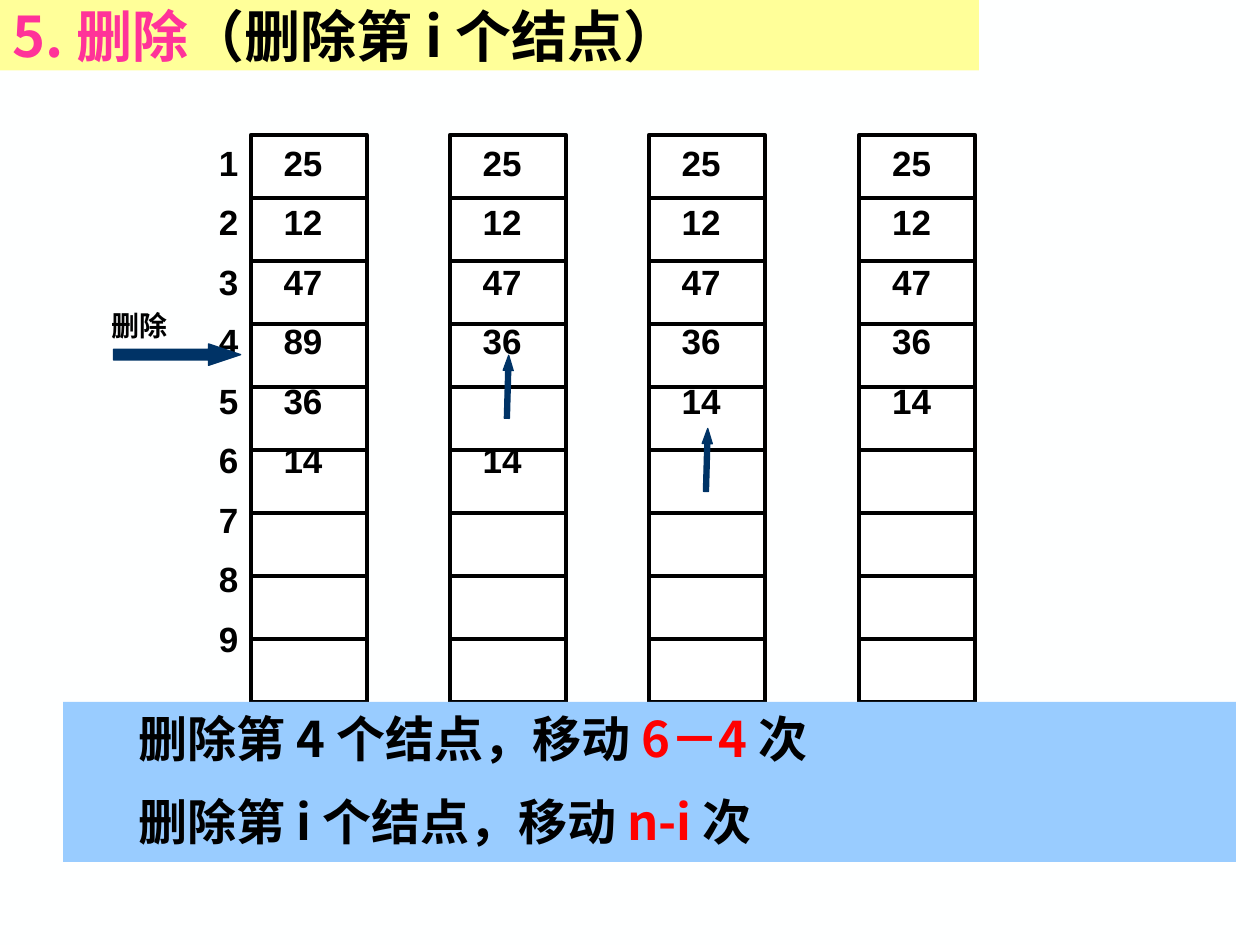
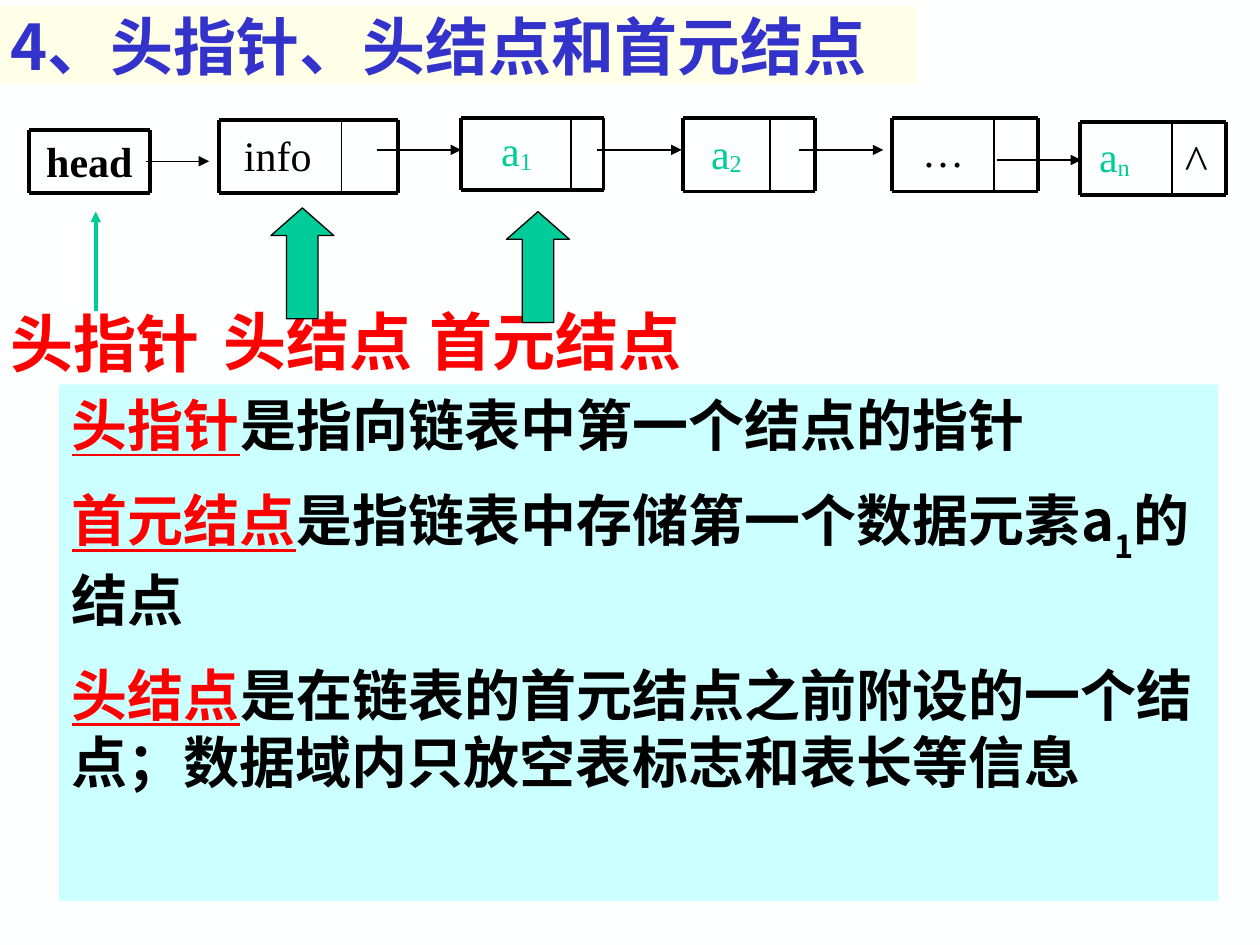
from dataclasses import dataclass

from lxml.etree import SubElement
from pptx import Presentation
from pptx.dml.color import RGBColor
from pptx.enum.shapes import MSO_CONNECTOR, MSO_SHAPE
from pptx.enum.text import MSO_ANCHOR, MSO_AUTO_SIZE, PP_ALIGN
from pptx.oxml.ns import qn
from pptx.util import Inches, Pt


@dataclass(frozen=True)
class Theme:
    # Colours
    page: str = "FEFFFF"
    white: str = "FFFFFF"
    ink: str = "000000"
    red: str = "FF0000"
    pink: str = "FF3399"
    blue: str = "3333CC"
    navy: str = "003366"
    green: str = "00CC99"
    yellow_band: str = "FFFF99"
    cream_band: str = "FFFFE7"
    blue_panel: str = "99CCFF"
    cyan_panel: str = "CCFFFF"
    # Fonts
    cjk: str = "Noto Sans CJK SC"
    sans: str = "Arial"
    serif: str = "Times New Roman"
    # Type sizes in points
    caption: int = 16
    value: int = 20
    node: int = 24
    nil: int = 28
    rule: int = 28
    definition: int = 32
    label: int = 36
    # Line widths in points
    hairline: float = 0.75
    divider: float = 1
    pointer: float = 2
    border: float = 2.25


THEME = Theme()


# ---- Text ----

def add_span(para, text, size, colour, font=THEME.cjk, bold=True,
             underline=None, baseline=None):
    span = para.add_run()
    span.text = text
    span.font.name = font
    span.font.size = Pt(size)
    span.font.bold = bold
    span.font.underline = underline
    span.font.color.rgb = RGBColor.from_string(colour)
    properties = span.font._element
    latin = properties.find(qn("a:latin"))
    east_asian = SubElement(properties, qn("a:ea"), typeface=THEME.cjk)
    latin.addnext(east_asian)
    if baseline is not None:
        properties.set("baseline", str(baseline * 1000))


def add_text_box(page, left, top, width, height):
    box = page.shapes.add_textbox(Inches(left), Inches(top), Inches(width), Inches(height))
    frame = box.text_frame
    frame.word_wrap = True
    frame.margin_left = frame.margin_right = Inches(0.05)
    frame.paragraphs[0].alignment = PP_ALIGN.CENTER
    return box


def add_label(page, left, top, width, text, size, colour):
    box = add_text_box(page, left, top, width, size / 50)
    add_span(box.text_frame.paragraphs[0], text, size, colour)


def place(holder, left, top, width, height, fill):
    holder.left, holder.top = Inches(left), Inches(top)
    holder.width, holder.height = Inches(width), Inches(height)
    holder.fill.solid()
    holder.fill.fore_color.rgb = RGBColor.from_string(fill)
    holder.text_frame.auto_size = MSO_AUTO_SIZE.NONE
    holder.text_frame.word_wrap = True


def fill_title(page, area, fill, size, spans):
    title = page.shapes.title
    place(title, *area, fill)
    title.text_frame.vertical_anchor = MSO_ANCHOR.MIDDLE
    para = title.text_frame.paragraphs[0]
    para.alignment = PP_ALIGN.LEFT
    for text, colour in spans:
        add_span(para, text, size, colour)


def fill_panel(page, area, fill, size, rows, indent=0):
    """Each row is a list of (text, add_span options)."""
    panel = page.placeholders[1]
    place(panel, *area, fill)
    frame = panel.text_frame
    for number, row in enumerate(rows):
        para = frame.add_paragraph() if number else frame.paragraphs[0]
        properties = para._p.get_or_add_pPr()
        properties.set("marL", str(Inches(indent)))
        properties.set("indent", "0")
        SubElement(properties, qn("a:buNone"))
        para.space_before = Pt(size / 2 if number else 0)
        for text, options in row:
            add_span(para, text, size, **options)
    # The panel lies over the drawing
    panel.element.getparent().append(panel.element)


# ---- Lines and shapes ----

def add_line(page, start, end, width, colour=THEME.ink, arrow=False):
    line = page.shapes.add_connector(
        MSO_CONNECTOR.STRAIGHT, *(Inches(value) for value in (*start, *end)))
    line.line.width = Pt(width)
    line.line.color.rgb = RGBColor.from_string(colour)
    if arrow:
        SubElement(line.line._get_or_add_ln(), qn("a:tailEnd"), type="triangle")
    SubElement(line._element.spPr, qn("a:effectLst"))


def add_shape(page, kind, area, fill, line, width, adjustments=(), rotation=0):
    shape = page.shapes.add_shape(kind, *(Inches(value) for value in area))
    shape.shadow.inherit = False
    shape.fill.solid()
    shape.fill.fore_color.rgb = RGBColor.from_string(fill)
    shape.line.color.rgb = RGBColor.from_string(line)
    shape.line.width = Pt(width)
    for number, value in enumerate(adjustments):
        shape.adjustments[number] = value
    shape.rotation = rotation


def add_navy_arrow(page, kind, area, rotation=0):
    add_shape(page, kind, area, THEME.navy, THEME.navy, THEME.hairline,
              (0.5, 1.5), rotation)


# ---- Array drawing ----

ARRAY_TOP, CELL_WIDTH, CELL_HEIGHT, CELL_COUNT = 1.07, 0.92, 0.5, 9


def add_value_column(page, left, values):
    """Stack values; None leaves a slot free."""
    line_height, gap = 24, 10
    box = add_text_box(page, left, ARRAY_TOP, 0.83, len(values) * 0.5)
    frame = box.text_frame
    skipped = 0
    for number, value in enumerate(values):
        if value is None:
            skipped += 1
            continue
        para = frame.add_paragraph() if number else frame.paragraphs[0]
        para.alignment = PP_ALIGN.CENTER
        para.space_before = Pt(gap + skipped * (line_height + gap) if number else 0)
        add_span(para, str(value), THEME.value, THEME.ink, THEME.sans)
        skipped = 0


def add_array(page, left, values):
    add_shape(page, MSO_SHAPE.RECTANGLE,
              (left, ARRAY_TOP, CELL_WIDTH, CELL_HEIGHT * CELL_COUNT),
              THEME.white, THEME.ink, THEME.border)
    for row in range(1, CELL_COUNT):
        y = ARRAY_TOP + row * CELL_HEIGHT
        add_line(page, (left, y), (left + CELL_WIDTH, y), THEME.border)
    add_value_column(page, left, values)


# ---- Linked list drawing ----

def add_node(page, left, top, right, bottom, divider, text_area, text,
             subscript=None, bold=False):
    """Frame a node; text_area is the top and width of its text."""
    colour = THEME.green if subscript else THEME.ink
    text_top, text_width = text_area
    for y in (top, bottom):
        add_line(page, (left, y), (right, y), THEME.border)
    for x in (left, right):
        add_line(page, (x, top), (x, bottom), THEME.border)
    if divider:
        add_line(page, (divider, top), (divider, bottom), THEME.divider)
    box = add_text_box(page, left, text_top, text_width, 0.5)
    para = box.text_frame.paragraphs[0]
    add_span(para, text, THEME.node, colour, THEME.serif, bold)
    if subscript:
        add_span(para, subscript, THEME.node, colour, THEME.serif, bold, baseline=-8)


# ---- Slides ----

def add_page(deck):
    page = deck.slides.add_slide(deck.slide_layouts[1])
    page.background.fill.solid()
    page.background.fill.fore_color.rgb = RGBColor.from_string(THEME.page)
    return page


def build_deletion(deck):
    page = add_page(deck)
    fill_title(page, (0, 0, 7.77, 0.56), THEME.yellow_band, THEME.definition,
               [("5. 删除", THEME.pink), ("（删除第 i 个结点）", THEME.ink)])

    # Array after each step
    steps = [
        (1.99, [25, 12, 47, 89, 36, 14]),
        (3.57, [25, 12, 47, 36, None, 14]),
        (5.15, [25, 12, 47, 36, 14]),
        (6.82, [25, 12, 47, 36, 14]),
    ]
    for left, values in steps:
        add_array(page, left, values)
    add_value_column(page, 1.4, range(1, CELL_COUNT + 1))

    # Deleted item and the moves that follow
    add_navy_arrow(page, MSO_SHAPE.RIGHT_ARROW, (0.9, 2.73, 1.01, 0.17))
    add_label(page, 0.65, 2.4, 0.92, "删除", THEME.caption, THEME.ink)
    for left, top in [(3.99, 2.82), (5.57, 3.4)]:
        add_navy_arrow(page, MSO_SHAPE.DOWN_ARROW, (left, top, 0.08, 0.5), 181.6)

    # Number of moves
    ink, red = {"colour": THEME.ink}, {"colour": THEME.red}
    rows = [[(f"删除第 {index} 个结点，移动 ", ink), (moves, red), ("次", ink)]
            for index, moves in [("4", "6－4 "), ("i", "n-i ")]]
    fill_panel(page, (0.5, 5.57, 9.31, 1.27), THEME.blue_panel, THEME.rule,
               rows, indent=0.5)


def build_head_nodes(deck):
    page = add_page(deck)
    fill_title(page, (-0.02, 0.05, 7.3, 0.62), THEME.cream_band, THEME.label,
               [("4、头指针、头结点和首元结点", THEME.blue)])

    # Names under the list, with their arrows
    add_line(page, (0.76, 2.47), (0.76, 1.68), THEME.pointer, THEME.green, arrow=True)
    for left, top, width, text in [(-0.02, 2.37, 1.71, "头指针"),
                                   (1.67, 2.35, 1.71, "头结点"),
                                   (3.3, 2.35, 2.21, "首元结点")]:
        add_label(page, left, top, width, text, THEME.label, THEME.red)
    for left, top in [(2.15, 1.65), (4.02, 1.68)]:
        add_shape(page, MSO_SHAPE.UP_ARROW, (left, top, 0.5, 0.88), THEME.green,
                  THEME.ink, THEME.hairline, (0.5, 0.44))

    # Nodes: left, top, right, bottom, divider, text area, text
    add_node(page, 0.23, 1.03, 1.19, 1.53, None, (1.03, 0.96), "head", bold=True)
    add_node(page, 1.74, 0.95, 3.16, 1.53, 2.71, (0.98, 0.93), "info")
    add_node(page, 3.66, 0.94, 4.79, 1.51, 4.53, (0.94, 0.88), "a", "1")
    add_node(page, 5.42, 0.94, 6.47, 1.52, 6.11, (0.96, 0.69), "a", "2")
    add_node(page, 7.08, 0.94, 8.24, 1.52, 7.89, (0.95, 0.81), "…")
    add_node(page, 8.57, 0.97, 9.73, 1.55, 9.3, (0.99, 0.55), "a", "n")
    nil = add_text_box(page, 9.28, 0.99, 0.43, 0.57)
    add_span(nil.text_frame.paragraphs[0], "^", THEME.nil, THEME.ink, THEME.serif, False)

    # Links between nodes
    for left, y, length in [(1.16, 1.28, 0.5), (2.99, 1.19, 0.67), (4.74, 1.19, 0.67),
                            (6.34, 1.19, 0.67), (7.91, 1.27, 0.67)]:
        add_line(page, (left, y), (left + length, y), THEME.hairline, arrow=True)

    # Definitions
    term = {"colour": THEME.red, "underline": True}
    ink = {"colour": THEME.ink}
    rows = [
        [("头指针", term), ("是指向链表中第一个结点的指针", ink)],
        [("首元结点", term), ("是指链表中存储第一个数据元素a", ink),
         ("1", {"colour": THEME.ink, "baseline": -30}), ("的结点", ink)],
        [("头结点", term),
         ("是在链表的首元结点之前附设的一个结点；数据域内只放空表标志和表长等信息", ink)],
    ]
    fill_panel(page, (0.47, 3.05, 9.2, 4.1), THEME.cyan_panel, THEME.definition, rows)


def main():
    deck = Presentation()
    deck.slide_width, deck.slide_height = Inches(10), Inches(7.5)
    build_deletion(deck)
    build_head_nodes(deck)
    deck.save("out.pptx")


if __name__ == "__main__":
    main()
